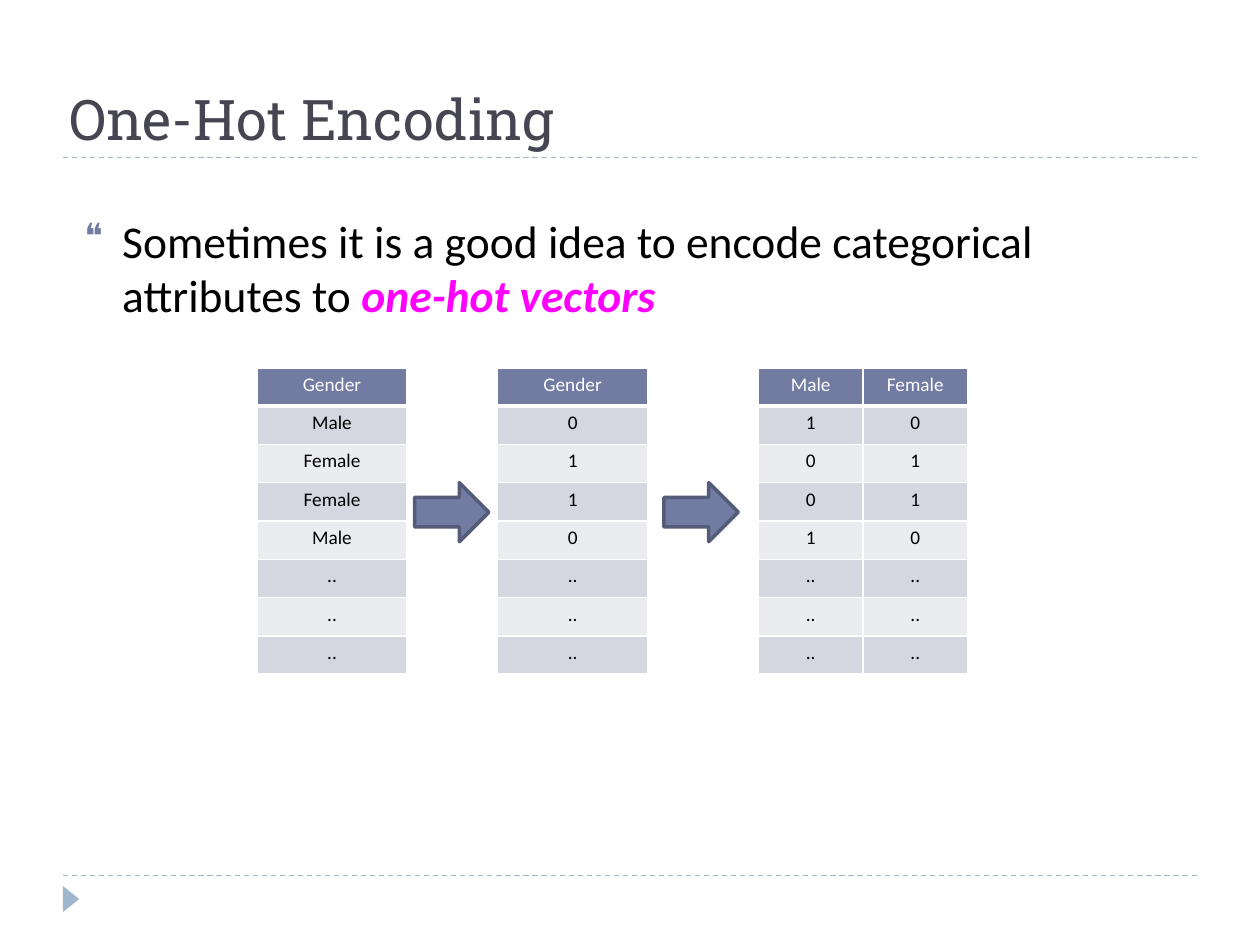
from pptx import Presentation
from pptx.dml.color import RGBColor
from pptx.enum.dml import MSO_LINE
from pptx.enum.shapes import MSO_CONNECTOR, MSO_SHAPE
from pptx.enum.text import MSO_ANCHOR, PP_ALIGN
from pptx.oxml.ns import qn
from pptx.util import Pt
from lxml import etree

DASH = MSO_LINE.DASH
STRAIGHT = MSO_CONNECTOR.STRAIGHT
TRIANGLE, RIGHT_ARROW = MSO_SHAPE.ISOSCELES_TRIANGLE, MSO_SHAPE.RIGHT_ARROW
BOTTOM = MSO_ANCHOR.BOTTOM
CENTER = PP_ALIGN.CENTER


class Theme:
    title_font, body_font = "Roboto Slab", "Calibri"
    title_size, body_size, table_size = Pt(32), Pt(26), Pt(11)
    title = RGBColor.from_string("464653")
    text = RGBColor.from_string("000000")
    white = RGBColor.from_string("FFFFFF")
    accent = RGBColor.from_string("727CA3")
    accent_dark = RGBColor.from_string("545C79")
    rule = RGBColor.from_string("9FB8CD")
    emphasis = RGBColor.from_string("FF00FF")
    bands = (RGBColor.from_string("D5D7E0"), RGBColor.from_string("EBECF0"))


def add_text_frame(left, top, width, height):
    frame = slide.shapes.add_textbox(Pt(left), Pt(top), Pt(width), Pt(height)).text_frame
    frame.word_wrap = True
    frame.margin_left = frame.margin_right = Pt(3.6)
    frame.margin_top = frame.margin_bottom = Pt(3.6)
    return frame


def add_color_element(parent, tag, color):
    """Append a child that holds one RGB colour."""
    holder = etree.SubElement(parent, qn(tag))
    etree.SubElement(holder, qn("a:srgbClr"), val=str(color))


prs = Presentation()
prs.slide_width, prs.slide_height = Pt(720), Pt(540)
slide = prs.slides.add_slide(prs.slide_layouts[6])

# Dashed rules and the footer marker
for y in (500.4, 90):
    rule = slide.shapes.add_connector(STRAIGHT, Pt(36), Pt(y), Pt(684), Pt(y))
    rule.line.color.rgb = Theme.rule
    rule.line.width = Pt(0.75)
    rule.line.dash_style = DASH
    etree.SubElement(rule._element.spPr, qn("a:effectLst"))

marker = slide.shapes.add_shape(TRIANGLE, Pt(33.1), Pt(509), Pt(15), Pt(9.4))
marker.rotation = 90
marker.shadow.inherit = False
marker.fill.solid()
marker.fill.fore_color.rgb = Theme.rule
marker.line.fill.background()

# Title
title_frame = add_text_frame(36, 12.24, 648, 77.76)
title_frame.vertical_anchor = BOTTOM
title = title_frame.paragraphs[0]
title.text = "One-Hot Encoding"
title.font.name, title.font.size = Theme.title_font, Theme.title_size
title.font.color.rgb = Theme.title

# Bulleted statement
statement = add_text_frame(44.64, 118.08, 639.36, 267.12).paragraphs[0]
props = statement._p.get_or_add_pPr()
props.set("marL", str(Pt(21.6)))
props.set("indent", str(-Pt(21.6)))
add_color_element(props, "a:buClr", Theme.accent)
etree.SubElement(props, qn("a:buSzPct"), val="76000")
etree.SubElement(props, qn("a:buChar"), char="❝")
statement.font.name, statement.font.size = Theme.body_font, Theme.body_size
lead = statement.add_run()
lead.text = "Sometimes it is a good idea to encode categorical attributes to "
lead.font.color.rgb = Theme.text
key_term = statement.add_run()
key_term.text = "one-hot vectors"
key_term.font.bold = key_term.font.italic = True
key_term.font.color.rgb = Theme.emphasis

# Three encodings of the same column: left, column width, rows
more = ["..", "..", ".."]
encodings = [
    (146.9, 85.7, zip(["Gender", "Male", "Female", "Female", "Male", *more])),
    (284.4, 85.7, zip(["Gender", "0", "1", "1", "0", *more])),
    (433.4, 59.8, zip(["Male", "1", "0", "0", "1", *more],
                      ["Female", "0", "1", "1", "0", *more])),
]
ROW_HEIGHT = 21.9
for left, column_width, rows in encodings:
    rows = list(rows)
    column_count = len(rows[0])
    table = slide.shapes.add_table(
        len(rows), column_count, Pt(left), Pt(210.2),
        Pt(column_width * column_count), Pt(ROW_HEIGHT * len(rows))).table
    for column in table.columns:
        column.width = Pt(column_width)
    for r, values in enumerate(rows):
        table.rows[r].height = Pt(ROW_HEIGHT)
        for c, value in enumerate(values):
            cell = table.cell(r, c)
            cell.margin_left = cell.margin_right = Pt(5)
            cell.margin_top = cell.margin_bottom = Pt(2.9)
            for side in "LRTB":
                width = Pt(3) if r == 0 and side == "B" else Pt(1)
                border = etree.SubElement(
                    cell._tc.get_or_add_tcPr(), qn(f"a:ln{side}"), w=str(width))
                add_color_element(border, "a:solidFill", Theme.white)
            cell.fill.solid()
            cell.fill.fore_color.rgb = Theme.accent if r == 0 else Theme.bands[(r - 1) % 2]
            entry = cell.text_frame.paragraphs[0]
            entry.text = value
            entry.alignment = CENTER
            entry.font.name, entry.font.size = Theme.body_font, Theme.table_size
            entry.font.bold = False
            entry.font.color.rgb = Theme.white if r == 0 else Theme.text

# Arrows between the encodings
for left in (236.9, 379.4):
    arrow = slide.shapes.add_shape(RIGHT_ARROW, Pt(left), Pt(275.8), Pt(42.5), Pt(33.8))
    arrow.shadow.inherit = False
    arrow.fill.solid()
    arrow.fill.fore_color.rgb = Theme.accent
    arrow.line.color.rgb = Theme.accent_dark
    arrow.line.width = Pt(2)

prs.save("out.pptx")
